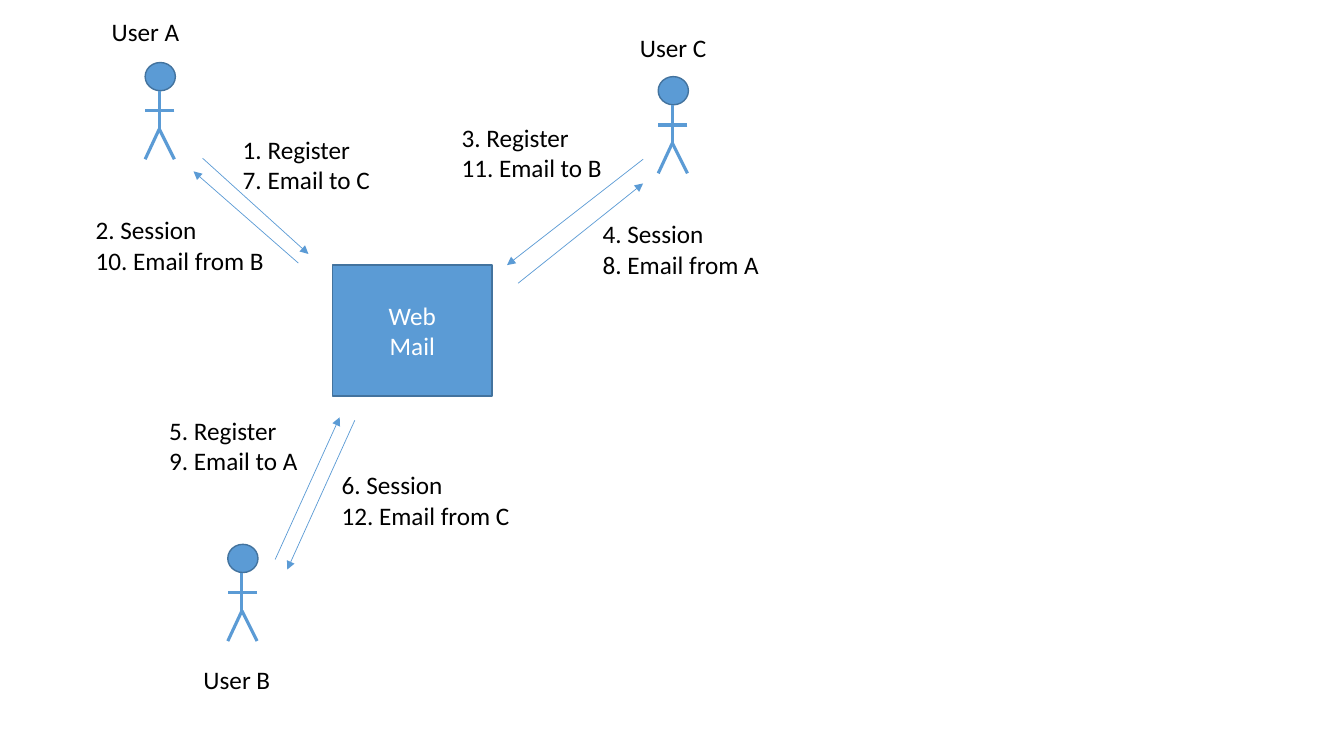
from lxml import etree
from pptx import Presentation
from pptx.dml.color import RGBColor
from pptx.enum.shapes import MSO_CONNECTOR, MSO_SHAPE
from pptx.enum.text import MSO_ANCHOR, MSO_AUTO_SIZE, PP_ALIGN
from pptx.oxml.ns import qn
from pptx.util import Inches, Pt

PX = 9144  # 100 px to the inch
BLUE = RGBColor(0x5B, 0x9B, 0xD5)
DARK_BLUE = RGBColor(0x43, 0x73, 0x9E)
BLACK = RGBColor(0x00, 0x00, 0x00)
WHITE = RGBColor(0xFF, 0xFF, 0xFF)
STRAIGHT = MSO_CONNECTOR.STRAIGHT
OVAL, RECT = MSO_SHAPE.OVAL, MSO_SHAPE.RECTANGLE
CENTER, MIDDLE = PP_ALIGN.CENTER, MSO_ANCHOR.MIDDLE
GROW = MSO_AUTO_SIZE.SHAPE_TO_FIT_TEXT


def add_line(shapes, ends, width, arrow=False):
    line = shapes.add_connector(STRAIGHT, *[v * PX for v in ends])
    line.line.color.rgb = BLUE
    line.line.width = Pt(width)
    sp_pr = line._element.spPr
    if arrow:
        etree.SubElement(sp_pr.find(qn("a:ln")), qn("a:tailEnd"), type="triangle")
    etree.SubElement(sp_pr, qn("a:effectLst"))


def write_lines(tf, lines, color, align=None):
    tf.word_wrap = True
    for i, text in enumerate(lines):
        p = tf.paragraphs[0] if i == 0 else tf.add_paragraph()
        p.alignment = align
        r = p.add_run()
        r.text = text
        for name, value in {"name": "Calibri", "size": Pt(18)}.items():
            setattr(r.font, name, value)
        r.font.color.rgb = color


prs = Presentation()
prs.slide_width, prs.slide_height = Inches(13.333), Inches(7.5)
s = prs.slides.add_slide(prs.slide_layouts[6])

# Stick figures: left and top of each head
LIMBS = [
    (14, 28, 14, 66),  # body
    (14, 66, 0, 96),   # left leg
    (14, 66, 29, 96),  # right leg
    (29, 48, 0, 48),   # arms
]
filled = []
for x, y in [(144, 62), (226, 540), (653, 76)]:
    figure = s.shapes.add_group_shape()
    head = figure.shapes.add_shape(OVAL, x * PX, y * PX, 30 * PX, 28 * PX)
    filled.append(head)
    for x1, y1, x2, y2 in LIMBS:
        add_line(figure.shapes, (x + x1, y + y1, x + x2, y + y2), 2.25)

# Mail server
server = s.shapes.add_shape(RECT, 330 * PX, 263 * PX, 158 * PX, 130 * PX)
server.text_frame.vertical_anchor = MIDDLE
write_lines(server.text_frame, ["Web", "Mail"], WHITE, CENTER)
filled.append(server)

for sp in filled:
    sp.shadow.inherit = False
    sp.fill.solid()
    sp.fill.fore_color.rgb = BLUE
    sp.line.color.rgb = DARK_BLUE
    sp.line.width = Pt(1)

# User names and message labels: left, top, width, lines
LABELS = [
    (101, 11, 115, ["User A"]),
    (192, 654, 115, ["User B"]),
    (625, 27, 115, ["User C"]),
    (231, 128, 177, ["1. Register", "7. Email to C"]),
    (448, 116, 179, ["3. Register", "11. Email to B"]),
    (158, 407, 157, ["5. Register", "9. Email to A"]),
    (85, 208, 191, ["2. Session", "10. Email from B"]),
    (588, 212, 184, ["4. Session", "8. Email from A"]),
    (329, 461, 196, ["6. Session", "12. Email from C"]),
]
for x, y, w, lines in LABELS:
    h = 10 + 30 * len(lines)
    tf = s.shapes.add_textbox(x * PX, y * PX, w * PX, h * PX).text_frame
    tf.auto_size = GROW
    write_lines(tf, lines, BLACK)

# Message arrows between users and server
ARROWS = [
    (201, 157, 306, 252),  # A to server
    (638, 158, 503, 263),  # C to server
    (273, 555, 337, 414),  # B to server
    (296, 261, 192, 170),  # server to A
    (514, 281, 638, 182),  # server to C
    (352, 417, 285, 565),  # server to B
]
for ends in ARROWS:
    add_line(s.shapes, ends, 0.5, arrow=True)

prs.save("out.pptx")
